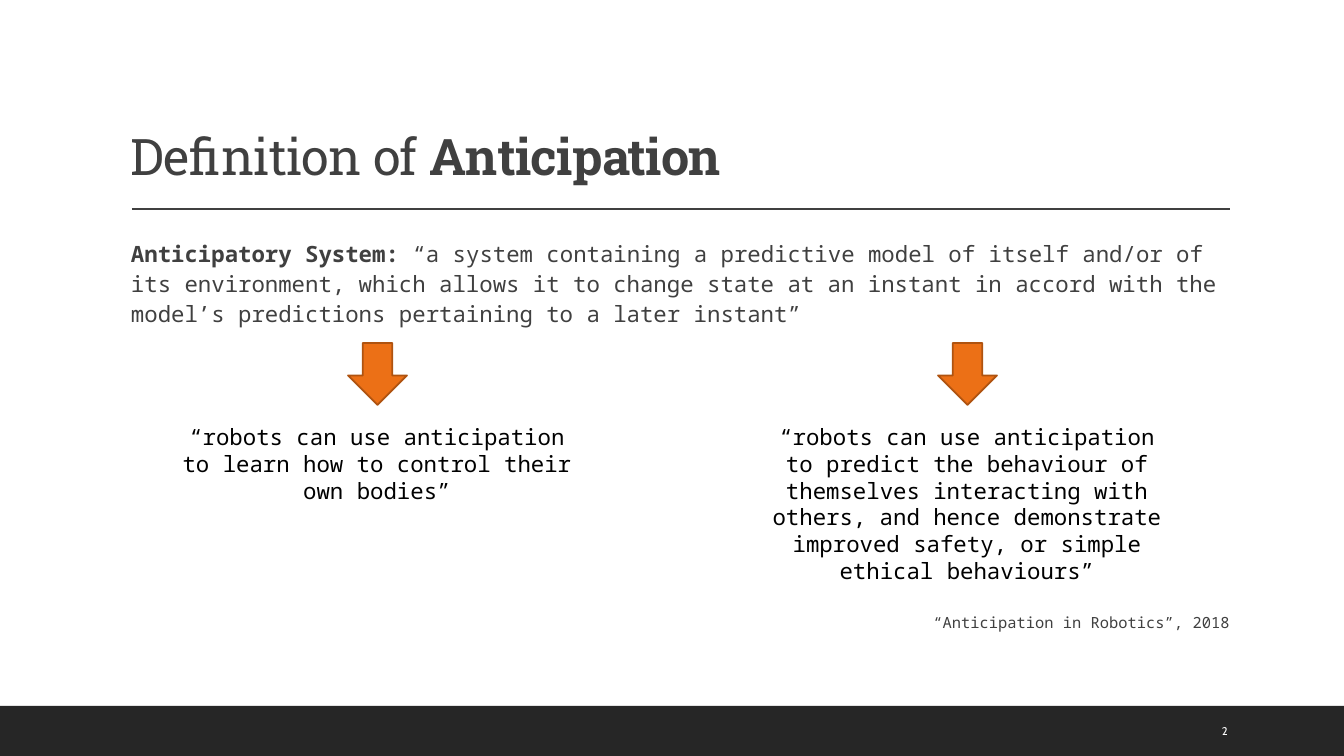
from pptx import Presentation
from pptx.util import Emu, Pt
from pptx.dml.color import RGBColor as RGB
from pptx.enum.shapes import MSO_SHAPE as SHAPE, MSO_CONNECTOR as LINE
from pptx.enum.text import PP_ALIGN as ALIGN, MSO_ANCHOR as ANCHOR
from pptx.oxml.ns import qn
from lxml.etree import SubElement

INK = {"bar": "262626", "text": "404040", "black": "000000",
       "white": "FFFFFF", "fill": "EC7016", "edge": "AF5310"}
MONO = "Noto Sans Mono"


def px(*nums):
    return [Emu(round(n * 914400 / 100.8)) for n in nums]


def write(box, runs, face, size, ink, align=ALIGN.LEFT, lead=None,
          anchor=ANCHOR.TOP, side=10):
    frame = slide.shapes.add_textbox(*px(*box)).text_frame
    frame.word_wrap = True
    frame.vertical_anchor = anchor
    frame.margin_left, frame.margin_right = px(side, side)
    para = frame.paragraphs[0]
    para.alignment = align
    para.line_spacing = lead
    para.font.name = face
    para.font.size = Pt(size)
    para.font.color.rgb = RGB.from_string(INK[ink])
    for text, bold in runs:
        run = para.add_run()
        run.text = text
        run.font.bold = bold
    return para


deck = Presentation()
deck.slide_width, deck.slide_height = px(1344, 756)
slide = deck.slides.add_slide(deck.slide_layouts[6])

bar = slide.shapes.add_shape(SHAPE.RECTANGLE, *px(0, 706, 1344, 50))
bar.shadow.inherit = False
bar.fill.solid()
bar.fill.fore_color.rgb = RGB.from_string(INK["bar"])
bar.line.fill.background()

rule = slide.shapes.add_connector(LINE.STRAIGHT, *px(132, 209, 1230, 209))
rule.line.color.rgb = RGB.from_string(INK["text"])
rule.line.width = Pt(1)
SubElement(rule.element.spPr, qn("a:effectLst"))

title = write((121, 31, 1109, 160),
              [("Definition of ", False), ("Anticipation", True)],
              "Roboto Slab", 36, "text", lead=0.9, anchor=ANCHOR.BOTTOM)
for run in title.runs:
    run.font.element.set("spc", "-50") if hasattr(run.font, "element") else run._r.get_or_add_rPr().set("spc", "-50")

write((131, 233, 1099, 100),
      [("Anticipatory System: ", True),
       ("“a system containing a predictive model of itself and/or of its "
        "environment, which allows it to change state at an instant in accord "
        "with the model’s predictions pertaining to a later instant”", False)],
      MONO, 16, "text", lead=1.1, side=0)

claims = [
    (377, 92, "“robots can use anticipation to learn how to control their own "
              "bodies”"),
    (967, 173, "“robots can use anticipation to predict the behaviour of "
               "themselves interacting with others, and hence demonstrate "
               "improved safety, or simple ethical behaviours”"),
]
for mid, tall, claim in claims:
    arrow = slide.shapes.add_shape(SHAPE.DOWN_ARROW, *px(mid - 29, 343, 59, 62))
    arrow.shadow.inherit = False
    arrow.fill.solid()
    arrow.fill.fore_color.rgb = RGB.from_string(INK["fill"])
    arrow.line.color.rgb = RGB.from_string(INK["edge"])
    arrow.line.width = Pt(1.25)
    write((mid - 207, 418, 414, tall), [(claim, False)], MONO, 16, "black",
          ALIGN.CENTER)

write((131, 606, 1099, 32), [("“Anticipation in Robotics”, 2018", False)],
      MONO, 11, "text", ALIGN.RIGHT, 1.1, side=0)
write((1212, 711, 86, 40), [("2", False)], "Cabin", 8, "white",
      anchor=ANCHOR.MIDDLE)

deck.save("out.pptx")
